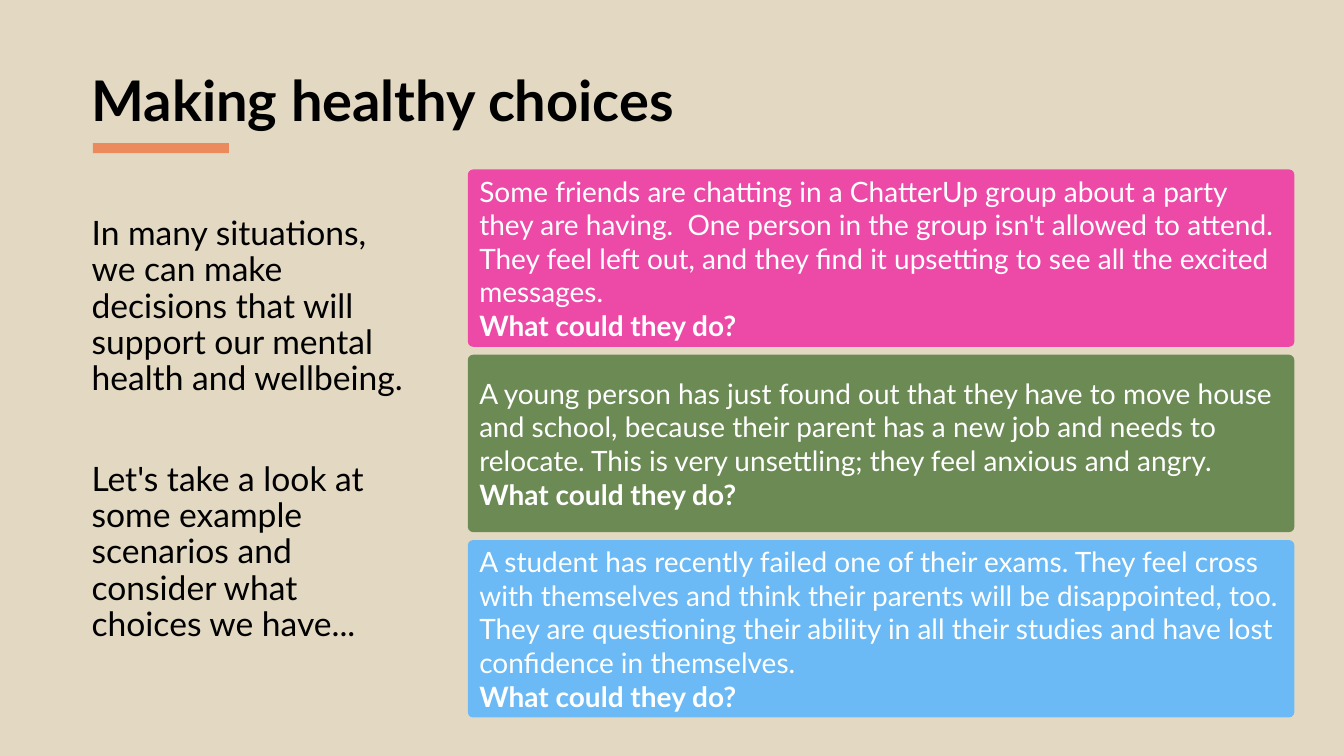
from dataclasses import dataclass

import pptx
import pptx.dml.color
import pptx.enum.shapes
import pptx.enum.text
import pptx.util

Cm = pptx.util.Cm
Pt = pptx.util.Pt
SHAPE = pptx.enum.shapes.MSO_SHAPE
ANCHOR = pptx.enum.text.MSO_ANCHOR

FONT = "Lato"
CARD_LEFT, CARD_TOP = 11.79, 4.27
CARD_WIDTH, CARD_HEIGHT, CARD_PITCH = 20.83, 4.47, 4.67
QUESTION = "What could they do?"


@dataclass
class Scenario:
    text: str
    color: str


SCENARIOS = [
    Scenario(
        "Some friends are chatting in a ChatterUp group about a party they are having.  "
        "One person in the group isn't allowed to attend. They feel left out, and they "
        "find it upsetting to see all the excited messages.",
        "ED4AA8",
    ),
    Scenario(
        "A young person has just found out that they have to move house and school, "
        "because their parent has a new job and needs to relocate. This is very "
        "unsettling; they feel anxious and angry.",
        "6B8A54",
    ),
    Scenario(
        "A student has recently failed one of their exams. They feel cross with "
        "themselves and think their parents will be disappointed, too. They are "
        "questioning their ability in all their studies and have lost confidence "
        "in themselves.",
        "6BBAF5",
    ),
]

INTRO = [
    "In many situations, we can make decisions that will support our mental "
    "health and wellbeing.",
    "Let's take a look at some example scenarios and consider what choices we have...",
]


def paint(fill: pptx.dml.fill.FillFormat, color: str) -> None:
    fill.solid()
    fill.fore_color.rgb = pptx.dml.color.RGBColor.from_string(color)


def add_text(tf, text: str, *, size: float, color: str = "000000", bold: bool = False,
             spacing: float = 1.0, before: float = 0) -> None:
    p = tf.paragraphs[0] if not tf.text else tf.add_paragraph()
    p.alignment = pptx.enum.text.PP_ALIGN.LEFT
    p.line_spacing = spacing
    p.space_before = Pt(before)
    r = p.add_run()
    r.text = text
    r.font.name = FONT
    r.font.size = Pt(size)
    r.font.bold = bold
    paint(r.font.fill, color)


def set_frame(tf, anchor) -> None:
    tf.word_wrap = True
    tf.auto_size = pptx.enum.text.MSO_AUTO_SIZE.NONE
    tf.vertical_anchor = anchor


def add_block(s, kind, left: float, top: float, width: float, height: float, color: str):
    sp = s.shapes.add_shape(kind, Cm(left), Cm(top), Cm(width), Cm(height))
    sp.shadow.inherit = False
    paint(sp.fill, color)
    sp.line.fill.background()
    return sp


def add_card(s, index: int, scenario: Scenario) -> None:
    sp = add_block(s, SHAPE.ROUNDED_RECTANGLE, CARD_LEFT, CARD_TOP + index * CARD_PITCH,
                   CARD_WIDTH, CARD_HEIGHT, scenario.color)
    sp.adjustments[0] = 0.03
    tf = sp.text_frame
    set_frame(tf, ANCHOR.MIDDLE)
    add_text(tf, scenario.text, size=20, color="FFFFFF")
    add_text(tf, QUESTION, size=20, color="FFFFFF", bold=True)


def add_title(s, text: str) -> None:
    sp = s.shapes.title
    sp.left, sp.top, sp.width, sp.height = Cm(2.06), Cm(0.76), Cm(29.21), Cm(3.68)
    set_frame(sp.text_frame, ANCHOR.MIDDLE)
    add_text(sp.text_frame, text, size=40, bold=True, spacing=0.9)


def add_intro(s) -> None:
    sp = s.shapes.add_textbox(Cm(2.06), Cm(5.33), Cm(8.64), Cm(12.57))
    set_frame(sp.text_frame, ANCHOR.TOP)
    for i, text in enumerate(INTRO):
        add_text(sp.text_frame, text, size=24, spacing=0.9, before=46 if i else 0)


def main() -> None:
    prs = pptx.Presentation()
    prs.slide_width, prs.slide_height = Cm(33.87), Cm(19.05)
    s = prs.slides.add_slide(prs.slide_layouts.get_by_name("Title Only"))
    paint(s.background.fill, "E3D9C2")
    for i, scenario in enumerate(SCENARIOS):
        add_card(s, i, scenario)
    add_title(s, "Making healthy choices")
    add_intro(s)
    add_block(s, SHAPE.RECTANGLE, 2.34, 3.61, 3.43, 0.25, "EB8A5C")
    prs.save("out.pptx")


if __name__ == "__main__":
    main()
